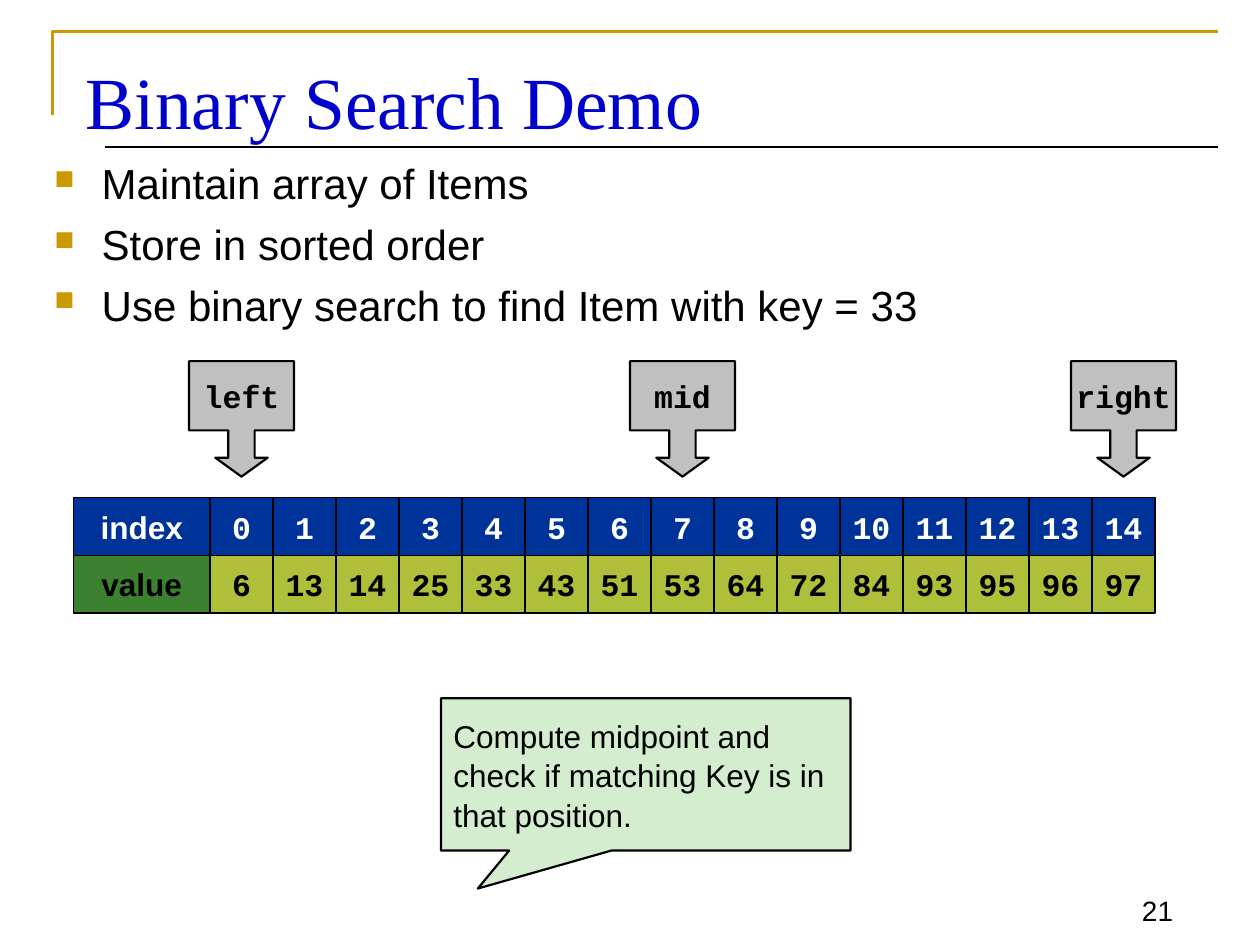
from dataclasses import dataclass

from lxml.etree import SubElement
from pptx import Presentation
from pptx.dml.color import RGBColor
from pptx.enum.shapes import MSO_CONNECTOR, MSO_SHAPE
from pptx.enum.text import MSO_ANCHOR, PP_ALIGN
from pptx.oxml.ns import qn
from pptx.util import Pt

EMU_PER_PX = 7620  # 120 px to the inch


@dataclass(frozen=True)
class Theme:
    ink: str = "000000"
    white: str = "FFFFFF"
    gold: str = "CC9900"
    title: str = "0000CC"
    index: str = "003399"
    value: str = "AFBF39"
    value_header: str = "3B812F"
    pointer: str = "C0C0C0"
    note: str = "D3EDCE"
    sans: str = "Arial"
    serif: str = "Times New Roman"
    mono: str = "Courier New"
    title_size: int = 42
    body_size: int = 24
    label_size: int = 18
    page_size: int = 16
    thin: float = 0.75
    medium: float = 1.25
    thick: float = 1.5


THEME = Theme()


@dataclass(frozen=True)
class Box:
    left: int
    top: int
    width: int
    height: int

    def emu(self) -> tuple:
        return tuple(px(side) for side in (self.left, self.top, self.width, self.height))


@dataclass(frozen=True)
class TextStyle:
    size: int
    font: str = THEME.sans
    color: str = THEME.ink
    bold: bool = False


@dataclass(frozen=True)
class ArrayRow:
    header: str
    numbers: tuple
    header_fill: str
    fill: str
    color: str


@dataclass(frozen=True)
class Pointer:
    name: str
    index: int


ARRAY_LEFT, ARRAY_TOP = 70, 474
HEADER_WIDTH, CELL_WIDTH, CELL_HEIGHT = 130, 60, 55
POINTER_TOP, POINTER_WIDTH, POINTER_HEIGHT = 344, 100, 110

VALUES = (6, 13, 14, 25, 33, 43, 51, 53, 64, 72, 84, 93, 95, 96, 97)
ROWS = (
    ArrayRow("index", tuple(range(len(VALUES))), THEME.index, THEME.index, THEME.white),
    ArrayRow("value", VALUES, THEME.value_header, THEME.value, THEME.ink),
)
POINTERS = (Pointer("left", 0), Pointer("mid", 7), Pointer("right", 14))
BULLETS = (
    "Maintain array of Items",
    "Store in sorted order",
    "Use binary search to find Item with key = 33",
)
MONO_LABEL = TextStyle(THEME.label_size, THEME.mono, bold=True)


def px(length: int) -> int:
    return length * EMU_PER_PX


def cell_left(index: int) -> int:
    return ARRAY_LEFT + HEADER_WIDTH + index * CELL_WIDTH


def add_run(paragraph, text: str, style: TextStyle) -> None:
    run = paragraph.add_run()
    run.text = text
    run.font.name = style.font
    run.font.size = Pt(style.size)
    run.font.bold = style.bold
    run.font.color.rgb = RGBColor.from_string(style.color)


def add_text_box(slide, box: Box, top_inset: int = 6):
    frame = slide.shapes.add_textbox(*box.emu()).text_frame
    frame.word_wrap = True
    frame.margin_top = px(top_inset)
    return frame


def add_label(shapes, kind, box: Box, text: str, style: TextStyle, fill: str,
              line_width: float, align=PP_ALIGN.CENTER, wrap: bool = False):
    """Add a filled, outlined shape with vertically centred text."""
    shape = shapes.add_shape(kind, *box.emu())
    shape.shadow.inherit = False
    shape.fill.solid()
    shape.fill.fore_color.rgb = RGBColor.from_string(fill)
    shape.line.color.rgb = RGBColor.from_string(THEME.ink)
    shape.line.width = Pt(line_width)
    frame = shape.text_frame
    frame.word_wrap = wrap
    frame.vertical_anchor = MSO_ANCHOR.MIDDLE
    paragraph = frame.paragraphs[0]
    paragraph.alignment = align
    add_run(paragraph, text, style)
    return shape


def set_adjustments(shape, *values: float) -> None:
    for position, value in enumerate(values):
        shape.adjustments[position] = value


def add_title_frame(slide) -> None:
    """Draw the gold corner and the rule below the title."""
    builder = slide.shapes.build_freeform(50, 110, scale=float(EMU_PER_PX))
    builder.add_line_segments([(50, 30), (1160, 30)], close=False)
    corner = builder.convert_to_shape()
    corner.shadow.inherit = False
    corner.fill.background()
    corner.line.color.rgb = RGBColor.from_string(THEME.gold)
    corner.line.width = Pt(THEME.thick)

    rule = slide.shapes.add_connector(
        MSO_CONNECTOR.STRAIGHT, px(100), px(140), px(1160), px(140))
    rule.line.color.rgb = RGBColor.from_string(THEME.ink)
    rule.line.width = Pt(THEME.thin)
    SubElement(rule._element.spPr, qn("a:effectLst"))


def add_array(slide) -> None:
    shapes = slide.shapes.add_group_shape().shapes
    for number, row in enumerate(ROWS):
        top = ARRAY_TOP + number * CELL_HEIGHT
        add_label(shapes, MSO_SHAPE.RECTANGLE,
                  Box(ARRAY_LEFT, top, HEADER_WIDTH, CELL_HEIGHT), row.header,
                  TextStyle(THEME.label_size, color=row.color, bold=True),
                  row.header_fill, THEME.thin)
        style = TextStyle(THEME.label_size, THEME.mono, row.color, True)
        for index, value in enumerate(row.numbers):
            add_label(shapes, MSO_SHAPE.RECTANGLE,
                      Box(cell_left(index), top, CELL_WIDTH, CELL_HEIGHT),
                      str(value), style, row.fill, THEME.thin)


def add_pointer(slide, pointer: Pointer) -> None:
    left = cell_left(pointer.index) + (CELL_WIDTH - POINTER_WIDTH) // 2
    shape = add_label(slide.shapes, MSO_SHAPE.DOWN_ARROW_CALLOUT,
                      Box(left, POINTER_TOP, POINTER_WIDTH, POINTER_HEIGHT),
                      pointer.name, MONO_LABEL, THEME.pointer, THEME.medium)
    set_adjustments(shape, 0.25, 0.25, 0.18, 0.6)


def add_bullets(slide) -> None:
    frame = add_text_box(slide, Box(40, 140, 1120, 210), top_inset=8)
    for number, text in enumerate(BULLETS):
        paragraph = frame.add_paragraph() if number else frame.paragraphs[0]
        paragraph.line_spacing = 1.05
        paragraph.space_before = Pt(4.4)
        properties = paragraph._p.get_or_add_pPr()
        properties.set("marL", str(px(45)))
        properties.set("indent", str(px(-45)))
        color = SubElement(properties, qn("a:buClr"))
        SubElement(color, qn("a:srgbClr"), val=THEME.gold)
        SubElement(properties, qn("a:buSzPct"), val="65000")
        SubElement(properties, qn("a:buChar"), char="■")
        add_run(paragraph, text, TextStyle(THEME.body_size))


def main() -> None:
    presentation = Presentation()
    presentation.slide_width, presentation.slide_height = px(1200), px(900)
    slide = presentation.slides.add_slide(presentation.slide_layouts[6])

    add_title_frame(slide)
    page_number = add_text_box(slide, Box(1050, 830, 79, 59))
    page_number.vertical_anchor = MSO_ANCHOR.BOTTOM
    page_number.paragraphs[0].alignment = PP_ALIGN.RIGHT
    add_run(page_number.paragraphs[0], "21", TextStyle(THEME.page_size))

    add_array(slide)
    for pointer in POINTERS:
        add_pointer(slide, pointer)

    note = add_label(slide.shapes, MSO_SHAPE.RECTANGULAR_CALLOUT, Box(420, 665, 390, 145),
                     "Compute midpoint and check if matching Key is in that position.",
                     TextStyle(THEME.label_size), THEME.note, THEME.medium,
                     PP_ALIGN.LEFT, wrap=True)
    set_adjustments(note, -0.41, 0.75)
    note.text_frame.paragraphs[0].line_spacing = 1.05

    title = add_text_box(slide, Box(70, 40, 1090, 90), top_inset=13)
    add_run(title.paragraphs[0], "Binary Search Demo",
            TextStyle(THEME.title_size, THEME.serif, THEME.title))
    add_bullets(slide)
    presentation.save("out.pptx")


if __name__ == "__main__":
    main()
